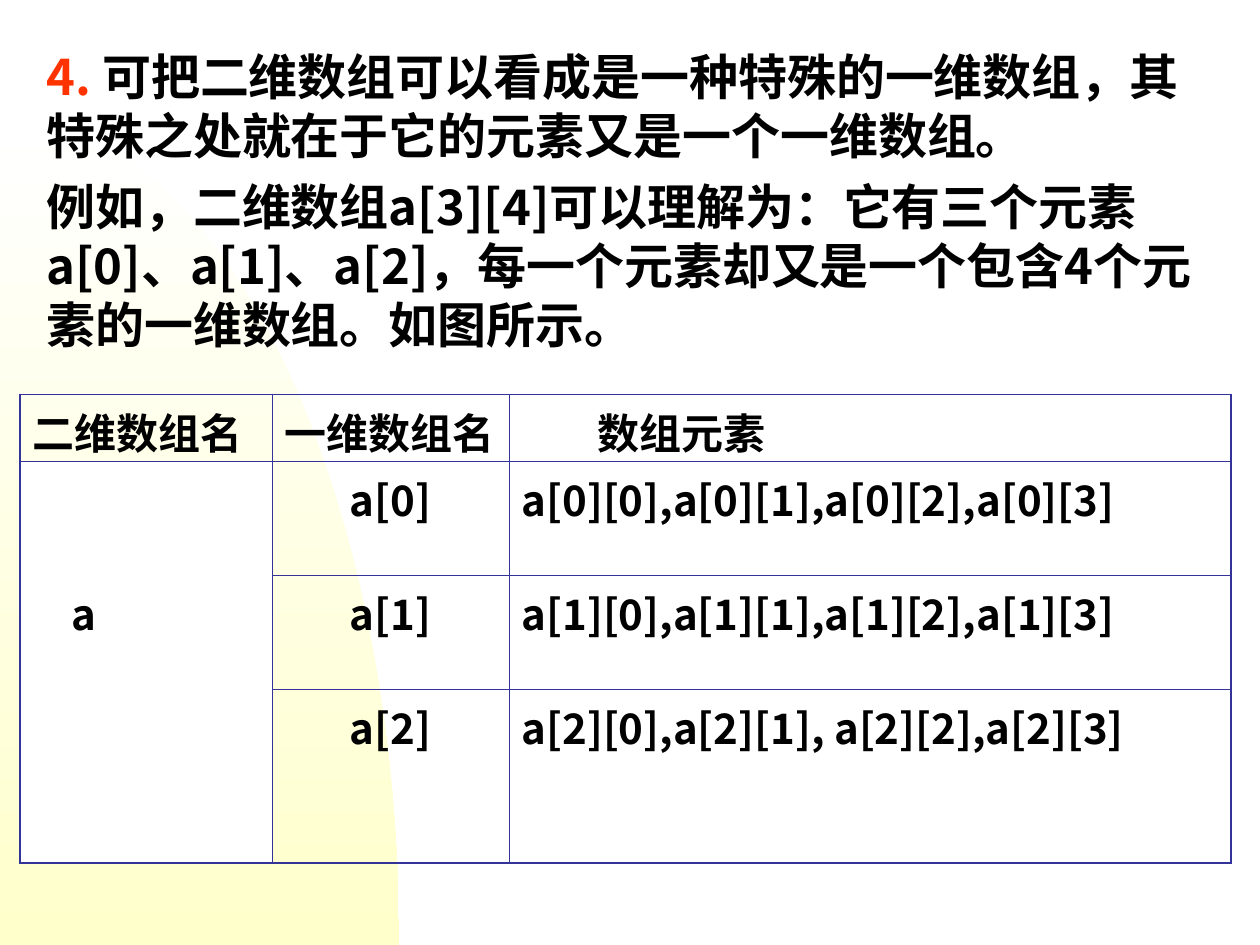
from dataclasses import dataclass
from math import cos, pi, sin

from lxml import etree
from pptx import Presentation
from pptx.dml.color import RGBColor
from pptx.enum import text
from pptx.oxml import ns
from pptx.util import Pt


@dataclass(frozen=True)
class Theme:
    """Colours, typeface and sizes of the slide."""
    font: str = "Noto Sans CJK SC"
    ink: str = "010000"
    accent: str = "FF3300"
    rule: str = "333399"
    paper: str = "FFFFFF"
    glow: str = "FFFFCC"
    body_size: float = 28
    cell_size: float = 24
    leading: float = 1.2
    thick: float = 1.08
    thin: float = 0.45


THEME = Theme()
COLUMNS = (144, 135.4, 412.6)
ROWS = (36, 65, 65, 99.4)
CELLS = (
    ("二维数组名", "一维数组名", "数组元素"),
    ("", "a[0]", "a[0][0],a[0][1],a[0][2],a[0][3]"),
    ("a", "a[1]", "a[1][0],a[1][1],a[1][2],a[1][3]"),
    ("", "a[2]", "a[2][0],a[2][1], a[2][2],a[2][3]"),
)
INDENTS = {(0, 2): 43.5, (2, 0): 22}


def rgb(value):
    """Turn a hex string into a colour."""
    return RGBColor.from_string(value)


def style_paragraph(para, size):
    """Give a paragraph the bold face, its size and its leading."""
    para.line_spacing = Pt(size * THEME.leading)
    font = para.font
    font.name, font.size, font.bold = THEME.font, Pt(size), True
    font.color.rgb = rgb(THEME.ink)
    defaults = para._p.pPr.find(ns.qn("a:defRPr"))
    etree.SubElement(defaults, ns.qn("a:ea"), typeface=THEME.font)


def add_backdrop(page):
    """Draw the quarter ellipse that glows from the lower left corner."""
    width, height, base, steps = 228, 473.8, 540, 60
    angles = [pi / 2 * step / steps for step in range(steps + 1)]
    arc = [(Pt(width * sin(a)), Pt(base - height * cos(a))) for a in angles]
    builder = page.shapes.build_freeform(*arc[0], scale=1.0)
    builder.add_line_segments(arc[1:] + [(0, Pt(base))], close=True)
    shape = builder.convert_to_shape()
    shape.shadow.inherit = False
    shape.line.fill.background()
    shape.fill.gradient()
    shape.fill.gradient_angle = 270
    for stop, color, position in zip(
            shape.fill.gradient_stops, (THEME.paper, THEME.glow), (0, 1)):
        stop.color.rgb, stop.position = rgb(color), position


def add_explanation(page):
    """Write the two paragraphs above the table."""
    box = page.shapes.add_textbox(Pt(19.4), Pt(20.2), Pt(680.4), Pt(182.2))
    frame = box.text_frame
    frame.word_wrap = True
    frame.margin_top = Pt(6.6)
    first, second = frame.paragraphs[0], frame.add_paragraph()
    number = first.add_run()
    number.text = "4. "
    first.add_run().text = (
        "可把二维数组可以看成是一种特殊的一维数组，"
        "其特殊之处就在于它的元素又是一个一维数组。")
    second.add_run().text = (
        "例如，二维数组a[3][4]可以理解为：它有三个元素a[0]、a[1]、a[2]，"
        "每一个元素却又是一个包含4个元素的一维数组。如图所示。")
    second.space_before = Pt(7)
    for para in (first, second):
        style_paragraph(para, THEME.body_size)
    number.font.color.rgb = rgb(THEME.accent)


def set_borders(cell, widths):
    """Draw the left, right, top and bottom borders; a zero width hides one."""
    props = cell._tc.get_or_add_tcPr()
    for index, (side, width) in enumerate(zip("LRTB", widths)):
        line = etree.Element(ns.qn(f"a:ln{side}"), w=str(int(Pt(width))))
        if width:
            fill = etree.SubElement(line, ns.qn("a:solidFill"))
            etree.SubElement(fill, ns.qn("a:srgbClr"), val=THEME.rule)
        else:
            etree.SubElement(line, ns.qn("a:noFill"))
        props.insert(index, line)


def border_widths(row, column):
    """Find a cell's border widths from its place in the grid."""
    last_row, last_column = len(ROWS) - 1, len(COLUMNS) - 1
    inner_top = 0 if column == 0 and row > 1 else THEME.thin
    inner_bottom = 0 if column == 0 and row > 0 else THEME.thin
    return (
        THEME.thick if column == 0 else THEME.thin,
        THEME.thick if column == last_column else THEME.thin,
        THEME.thick if row == 0 else inner_top,
        THEME.thick if row == last_row else inner_bottom,
    )


def fill_cell(cell, row, column):
    """Set the wording, fill, margins and borders of one cell."""
    if column == 0 and row > 0:
        cell.fill.solid()
        cell.fill.fore_color.rgb = rgb(THEME.paper)
    else:
        cell.fill.background()
    cell.margin_left = Pt(7.2 + INDENTS.get((row, column), 0))
    cell.margin_top, cell.margin_bottom = Pt(9.6), 0
    set_borders(cell, border_widths(row, column))
    cell.text = CELLS[row][column]
    para = cell.text_frame.paragraphs[0]
    if column == 1 and row > 0:
        para.alignment = text.PP_ALIGN.CENTER
    style_paragraph(para, THEME.cell_size)


def add_array_table(page):
    """Add the table that relates the arrays to their elements."""
    table = page.shapes.add_table(
        len(ROWS), len(COLUMNS), Pt(11.5), Pt(225.4),
        Pt(sum(COLUMNS)), Pt(sum(ROWS))).table
    table.first_row = table.horz_banding = False
    for column, width in zip(table.columns, COLUMNS):
        column.width = Pt(width)
    for row, height in enumerate(ROWS):
        table.rows[row].height = Pt(height)
        for column in range(len(COLUMNS)):
            fill_cell(table.cell(row, column), row, column)


def main():
    """Build the slide and save the deck."""
    deck = Presentation()
    deck.slide_width, deck.slide_height = Pt(720), Pt(540)
    page = deck.slides.add_slide(deck.slide_layouts[6])
    page.background.fill.solid()
    page.background.fill.fore_color.rgb = rgb(THEME.paper)
    add_backdrop(page)
    add_explanation(page)
    add_array_table(page)
    deck.save("out.pptx")


if __name__ == "__main__":
    main()
